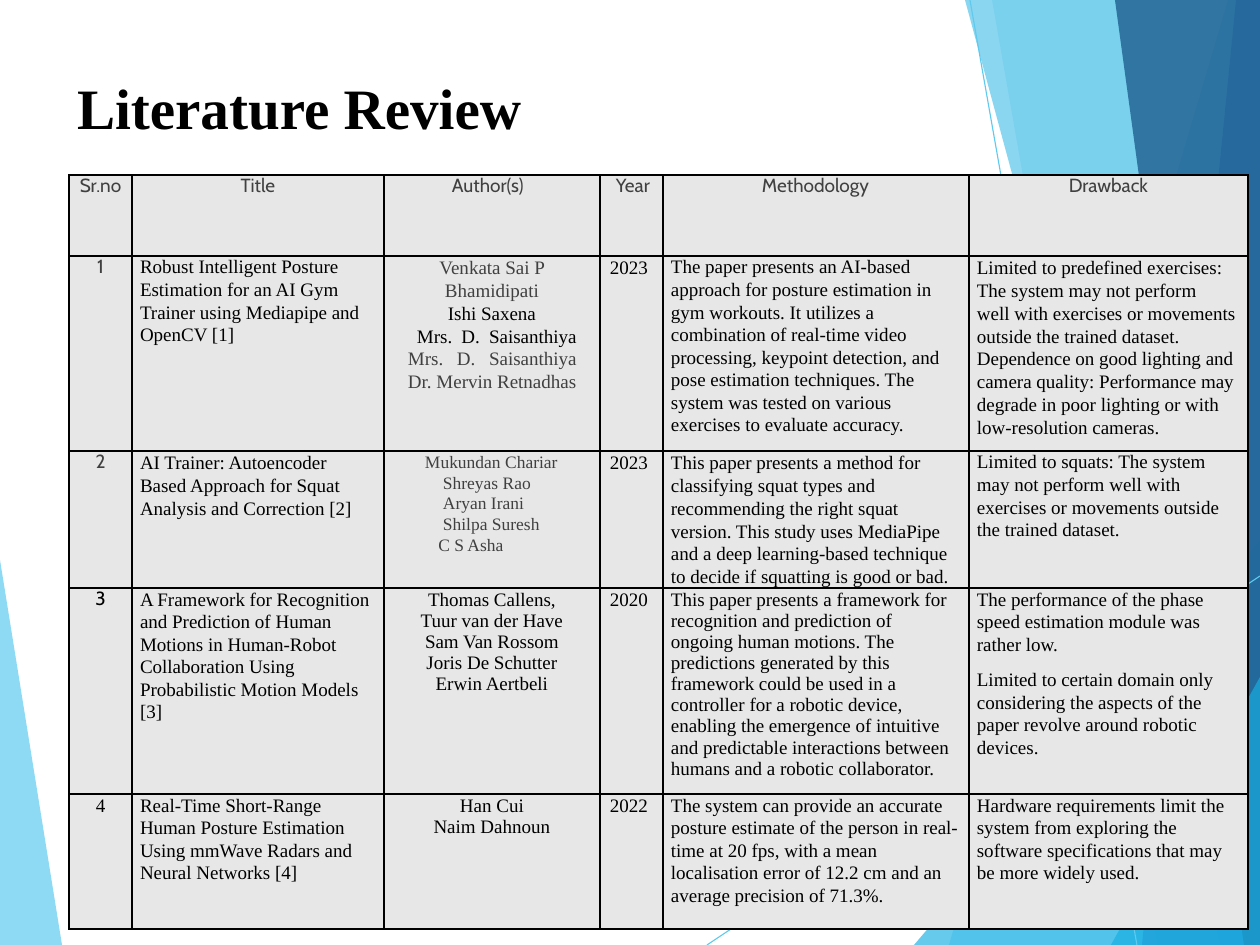
import dataclasses

import pptx
import pptx.dml.color
import pptx.enum.shapes
import pptx.enum.text
import pptx.oxml
import pptx.oxml.ns
import pptx.util

PX = 8007  # EMU in one px
WIDTH, HEIGHT = 1260, 945
RGBColor = pptx.dml.color.RGBColor
BLACK = RGBColor(0x00, 0x00, 0x00)
GREY = RGBColor(0x40, 0x40, 0x40)
CELL_FILL = RGBColor(0xE7, 0xE7, 0xE7)
SKY = RGBColor(0x5F, 0xCA, 0xEE)
CYAN = RGBColor(0x17, 0xAF, 0xE3)
BLUE = RGBColor(0x2D, 0x83, 0xC3)
NAVY = RGBColor(0x22, 0x61, 0x92)
SERIF, SANS = "Times New Roman", "Cabin"
ALIGN = pptx.enum.text.PP_ALIGN
LEFT, CENTER, RIGHT, JUSTIFY = ALIGN.LEFT, ALIGN.CENTER, ALIGN.RIGHT, ALIGN.JUSTIFY

# Background facets: colour, opacity in percent, corners
FACETS = [
    (SKY, 70, [(0, 560), (0, 945), (62, 945)]),
    (SKY, 36, [(1228, 0), (949, 945), (1260, 945), (1260, 0)]),
    (SKY, 20, [(1260, 0), (992, 0), (1158, 945), (1260, 945)]),
    (CYAN, 66, [(1260, 540), (914, 945), (1260, 945)]),
    (CYAN, 50, [(1260, 0), (965, 0), (1221, 945), (1260, 945)]),
    (BLUE, 70, [(1260, 0), (1236, 0), (1142, 945), (1260, 945)]),
    (NAVY, 82, [(1260, 0), (1115, 0), (1244, 945), (1260, 945)]),
    (CYAN, 66, [(1260, 677), (1111, 945), (1260, 945)]),
]
RAYS = [(707, 945, 1260, 576), (970, 0, 1137, 945)]
COLUMNS = [63, 252, 216, 63, 306, 279]
ROWS = [81, 195, 137, 206, 135]


@dataclasses.dataclass
class Entry:
    """One paragraph of a table cell; indents in px, sizes in points."""
    runs: object
    left: int = 8
    right: int = 0
    first: int = 0
    align: object = LEFT
    spacing: float = pptx.util.Pt(14.4)
    before: float = 0
    size: int = 12
    font: str = SERIF
    color: object = BLACK


def heading(text, left=0, right=0, align=CENTER):
    return [Entry(text, left, right, align=align, spacing=pptx.util.Pt(14.1), font=SANS, color=GREY)]


def number(text, font=SANS, color=GREY):
    return [Entry(text, 0, align=CENTER, spacing=pptx.util.Pt(14.1), font=font, color=color)]


def year(text):
    return [Entry(text, 0, 15, align=RIGHT, spacing=pptx.util.Pt(14.1))]


def lead_and_rest(lead, rest, right, spacing=1.07):
    return [Entry(lead, spacing=pptx.util.Pt(14)), Entry(rest, right=right, spacing=spacing)]


TABLE = [
    [heading("Sr.no"), heading("Title"), heading("Author(s)", 68, align=LEFT),
     heading("Year", right=13, align=RIGHT), heading("Methodology", 99, align=LEFT), heading("Drawback")],
    [number("1"),
     lead_and_rest("Robust Intelligent Posture",
                   "Estimation for an AI Gym Trainer using Mediapipe and OpenCV [1]", 12),
     [Entry([("Venkata Sai P Bhamidipati ", GREY), ("Ishi Saxena", BLACK)], 54, 54, align=CENTER),
      Entry([("Mrs. D. Saisanthiya ", BLACK), ("Mrs. D. Saisanthiya Dr. Mervin Retnadhas", GREY)],
            24, 23, 9, JUSTIFY)],
     year("2023"),
     lead_and_rest("The paper presents an AI-based",
                   "approach for posture estimation in gym workouts. It utilizes a combination of "
                   "real-time video processing, keypoint detection, and pose estimation techniques. "
                   "The system was tested on various exercises to evaluate accuracy.", 16),
     [Entry("Limited to predefined exercises: The system may not perform\v"
            "well with exercises or movements outside the trained dataset.", right=8),
      Entry("Dependence on good lighting and camera quality: Performance may degrade in poor "
            "lighting or with low-resolution cameras.", right=8)]],
    [number("2"),
     [Entry("AI Trainer: Autoencoder Based Approach for Squat Analysis and Correction [2]", right=22)],
     [Entry("Mukundan Chariar Shreyas Rao Aryan Irani Shilpa Suresh", 59, 36, -18,
            spacing=pptx.util.Pt(13.2), size=11, color=GREY),
      Entry("C S Asha", 0, 42, align=CENTER, spacing=pptx.util.Pt(12.8), size=11, color=GREY)],
     year("2023"),
     [Entry("This paper presents a method for classifying squat types and recommending the right squat",
            right=12),
      Entry("version. This study uses MediaPipe and a deep learning-based technique to decide if "
            "squatting is good or bad.", right=12)],
     lead_and_rest("Limited to squats: The system",
                   "may not perform well with exercises or movements outside the trained dataset.", 18)],
    [number("3", color=BLACK),
     lead_and_rest("A Framework for Recognition",
                   "and Prediction of Human Motions in Human-Robot Collaboration Using "
                   "Probabilistic Motion Models [3]", 16),
     [Entry("Thomas Callens,", 0, align=CENTER, spacing=pptx.util.Pt(14.1)),
      Entry("Tuur van der Have Sam Van Rossom Joris De Schutter Erwin Aertbeli", 35, 35,
            align=CENTER, spacing=1.0)],
     year("2020"),
     lead_and_rest("This paper presents a framework for",
                   "recognition and prediction of ongoing human motions. The predictions generated by "
                   "this framework could be used in a controller for a robotic device, enabling the "
                   "emergence of intuitive and predictable interactions between humans and a robotic "
                   "collaborator.", 15, 1.0),
     lead_and_rest("The performance of the phase", "speed estimation module was rather low.", 20)
     + [Entry("Limited to certain domain only considering the aspects of the paper revolve around "
              "robotic devices.", right=20, spacing=1.07, before=8)]],
    [number("4", SERIF, BLACK),
     lead_and_rest("Real-Time Short-Range",
                   "Human Posture Estimation Using mmWave Radars and Neural Networks [4]", 12),
     [Entry("Han Cui", 0, align=CENTER, spacing=pptx.util.Pt(14.2)),
      Entry("Naim Dahnoun", 0, align=CENTER, spacing=1.0)],
     year("2022"),
     lead_and_rest("The system can provide an accurate",
                   "posture estimate of the person in real- time at 20 fps, with a mean localisation "
                   "error of 12.2 cm and an average precision of 71.3%.", 6),
     lead_and_rest("Hardware requirements limit the",
                   "system from exploring the software specifications that may be more widely used.", 18)],
]


def apply(target, values):
    for name, value in values.items():
        setattr(target, name, value)


def format_run(run, size, font, color, bold=False):
    apply(run.font, {"size": pptx.util.Pt(size), "name": font, "bold": bold})
    run.font.color.rgb = color


def add_background(slide):
    for color, opacity, corners in FACETS:
        builder = slide.shapes.build_freeform(*corners[0], scale=PX)
        builder.add_line_segments(corners[1:], close=True)
        facet = builder.convert_to_shape()
        facet.shadow.inherit = False
        facet.line.fill.background()
        facet.fill.solid()
        facet.fill.fore_color.rgb = color
        fill_color = facet.fill._xPr.find(".//" + pptx.oxml.ns.qn("a:srgbClr"))
        fill_color.append(pptx.oxml.parse_xml(
            f'<a:alpha {pptx.oxml.ns.nsdecls("a")} val="{opacity * 1000}"/>'))
    for ends in RAYS:
        ray = slide.shapes.add_connector(
            pptx.enum.shapes.MSO_CONNECTOR.STRAIGHT, *(end * PX for end in ends))
        ray.line.color.rgb = SKY
        ray.line.width = pptx.util.Pt(0.72)
        ray._element.spPr.append(pptx.oxml.parse_xml(
            f'<a:effectLst {pptx.oxml.ns.nsdecls("a")}/>'))


def add_title(slide, left, top, width, height):
    title = slide.shapes.title
    apply(title, {"left": left * PX, "top": top * PX, "width": width * PX, "height": height * PX})
    frame = title.text_frame
    apply(frame, {"margin_left": 20 * PX, "margin_top": 31 * PX, "margin_right": 0, "margin_bottom": 0,
                  "word_wrap": True, "auto_size": pptx.enum.text.MSO_AUTO_SIZE.NONE,
                  "vertical_anchor": pptx.enum.text.MSO_ANCHOR.TOP})
    paragraph = frame.paragraphs[0]
    paragraph.alignment = LEFT
    run = paragraph.add_run()
    run.text = "Literature Review"
    format_run(run, 36, SERIF, BLACK, bold=True)


def write_entry(paragraph, entry):
    apply(paragraph, {"alignment": entry.align, "line_spacing": entry.spacing,
                      "space_before": pptx.util.Pt(entry.before)})
    properties = paragraph._p.get_or_add_pPr()
    for name, value in {"marL": entry.left, "marR": entry.right, "indent": entry.first}.items():
        properties.set(name, str(value * PX))
    runs = [(entry.runs, entry.color)] if isinstance(entry.runs, str) else entry.runs
    for text, color in runs:
        for index, line in enumerate(text.split("\v")):
            if index:
                paragraph.add_line_break()
            run = paragraph.add_run()
            run.text = line
            format_run(run, entry.size, entry.font, color)


def fill_cell(cell, entries):
    apply(cell, {"margin_left": 0, "margin_top": 0, "margin_right": 0, "margin_bottom": 0})
    for index, entry in enumerate(entries):
        frame = cell.text_frame
        write_entry(frame.add_paragraph() if index else frame.paragraphs[0], entry)
    properties = cell._tc.get_or_add_tcPr()
    for side in ("lnL", "lnR", "lnT", "lnB"):
        properties.append(pptx.oxml.parse_xml(
            f'<a:{side} {pptx.oxml.ns.nsdecls("a")} w="12700"><a:solidFill>'
            f'<a:srgbClr val="{BLACK}"/></a:solidFill></a:{side}>'))
    cell.fill.solid()
    cell.fill.fore_color.rgb = CELL_FILL


def add_review_table(slide, left, top):
    table = slide.shapes.add_table(len(ROWS), len(COLUMNS), left * PX, top * PX,
                                   sum(COLUMNS) * PX, sum(ROWS) * PX).table
    apply(table, {"first_row": False, "horz_banding": False})
    for column, width in zip(table.columns, COLUMNS):
        column.width = width * PX
    for row, height, contents in zip(table.rows, ROWS, TABLE):
        row.height = height * PX
        for cell, entries in zip(row.cells, contents):
            fill_cell(cell, entries)


def main():
    presentation = pptx.Presentation()
    apply(presentation, {"slide_width": WIDTH * PX, "slide_height": HEIGHT * PX})
    slide = presentation.slides.add_slide(presentation.slide_layouts[5])
    add_background(slide)
    add_title(slide, 57, 41, 1145, 118)
    add_review_table(slide, 69, 175)
    presentation.save("out.pptx")


if __name__ == "__main__":
    main()
